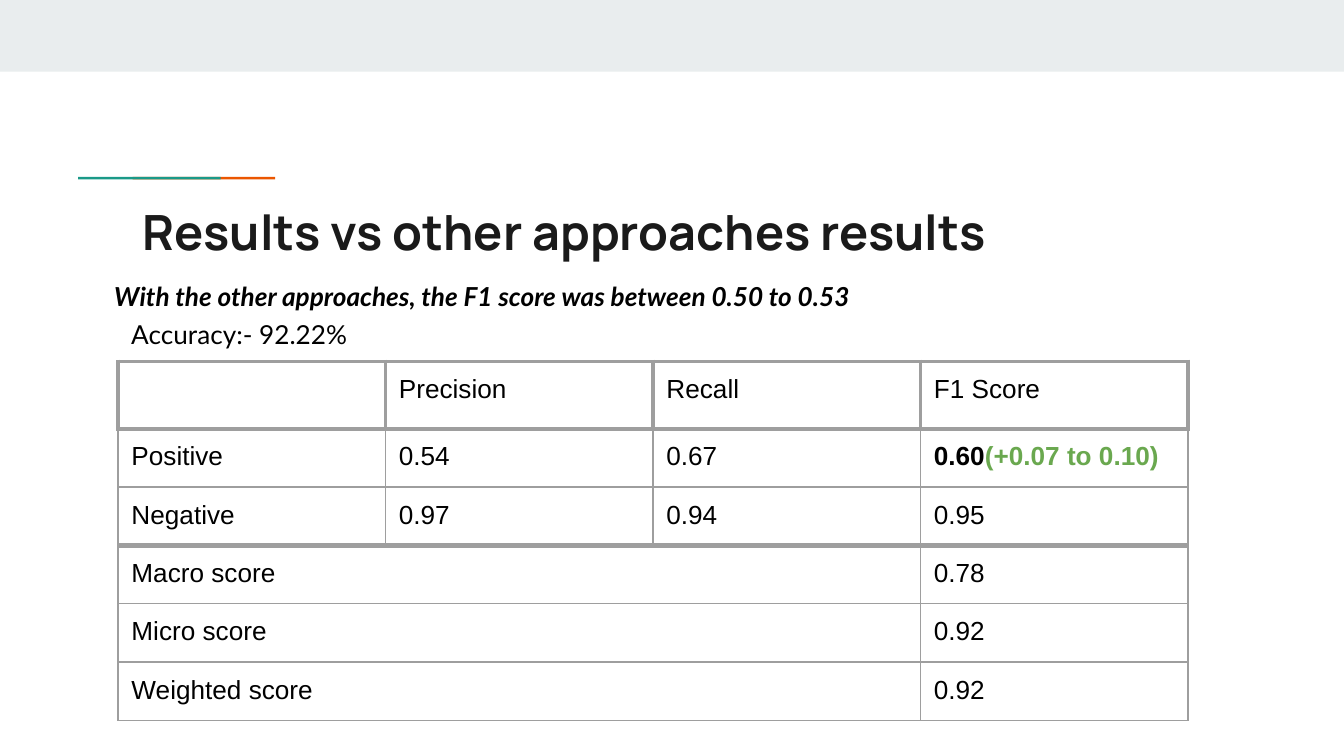
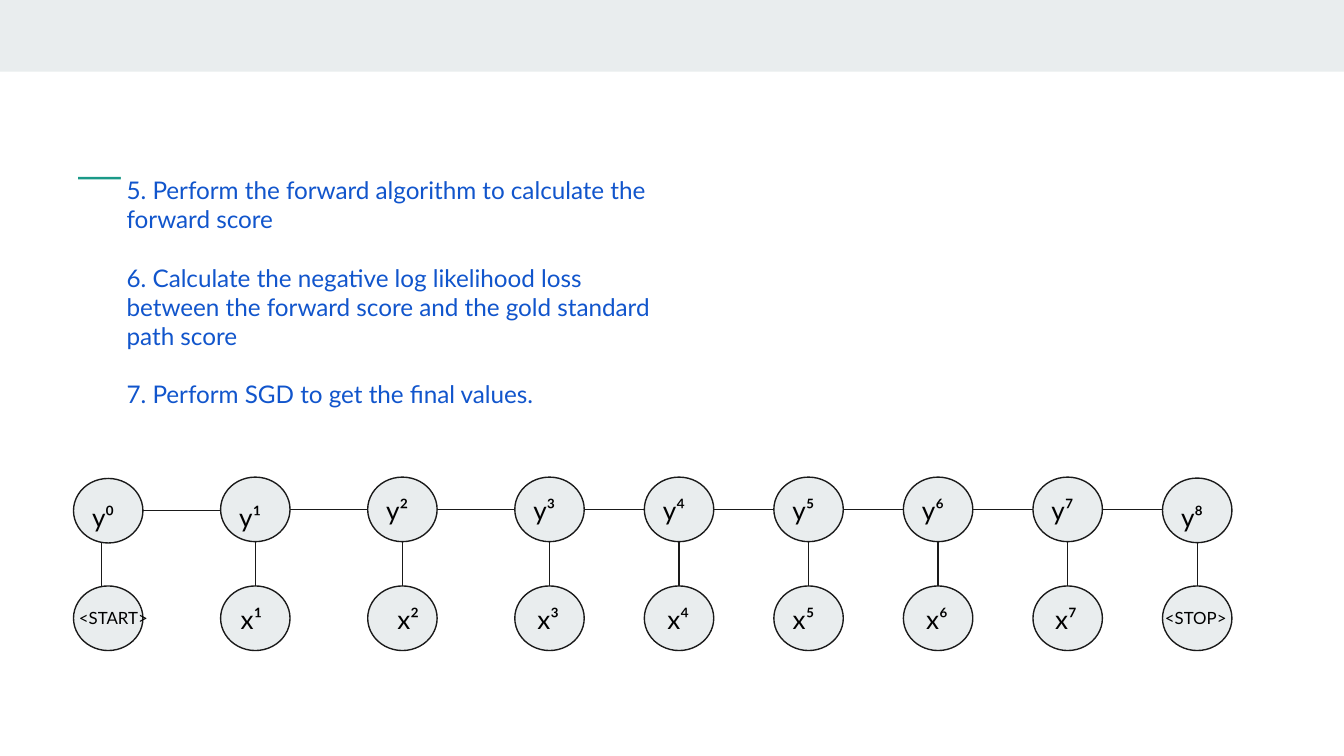
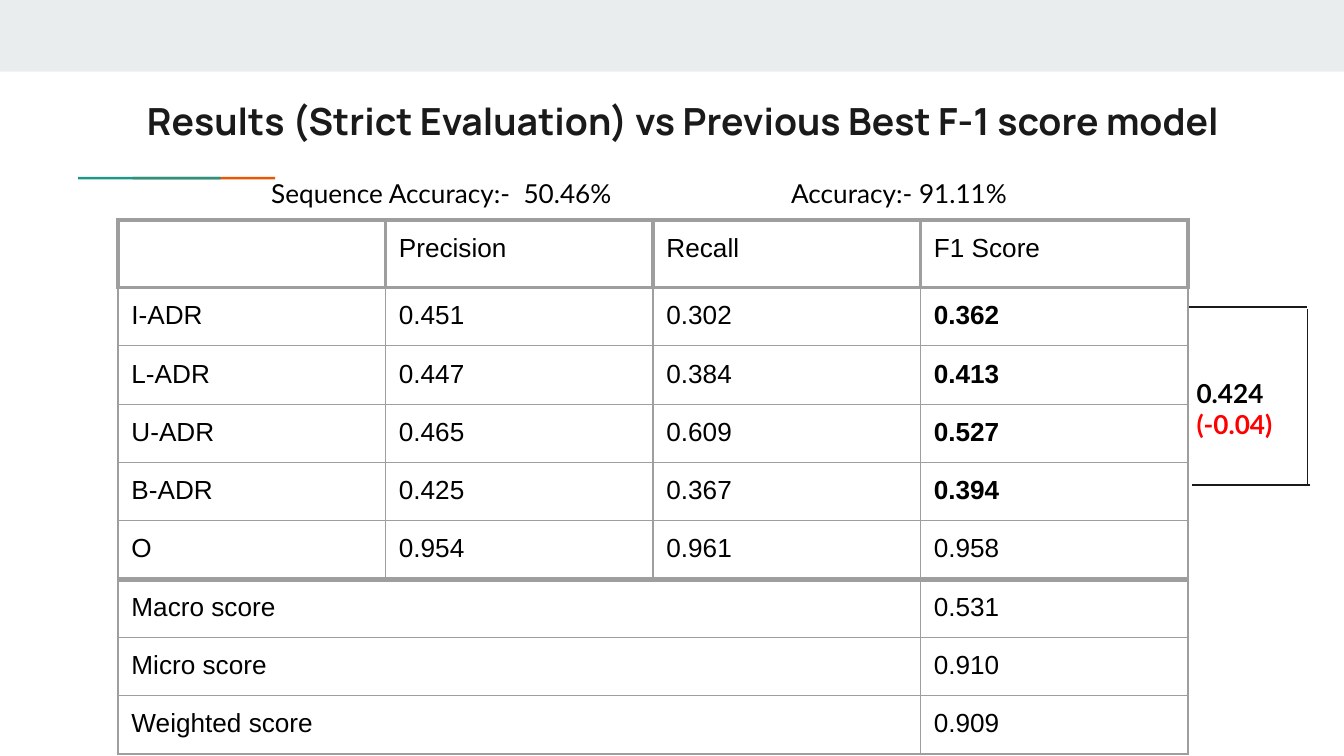
"""Build three slides on sequence labelling: two score tables and a chain of steps."""
from dataclasses import dataclass

from lxml.etree import SubElement
from pptx import Presentation
from pptx.dml.color import RGBColor
from pptx.enum.shapes import MSO_CONNECTOR, MSO_SHAPE
from pptx.enum.text import MSO_ANCHOR
from pptx.oxml.ns import qn
from pptx.slide import Slide
from pptx.table import _Cell
from pptx.text.text import TextFrame, _Paragraph
from pptx.util import Pt

WHITE = RGBColor(0xFF, 0xFF, 0xFF)
BLACK = RGBColor(0x00, 0x00, 0x00)
INK = RGBColor(0x1A, 0x1A, 0x1A)
MIST = RGBColor(0xE9, 0xED, 0xEE)
GREEN = RGBColor(0x1A, 0x99, 0x88)
ORANGE = RGBColor(0xEB, 0x56, 0x00)
GRID_GREY = RGBColor(0x9E, 0x9E, 0x9E)
GAIN = RGBColor(0x6A, 0xA8, 0x4F)
LOSS = RGBColor(0xFF, 0x00, 0x00)
BLUE = RGBColor(0x11, 0x55, 0xCC)

INSET = 7.2
THIN, HEADER_RULE, SUMMARY_RULE = 0.75, 2.25, 3
TABLE_LEFT, COLUMN_WIDTH, ROW_HEIGHT = 63.2, 143.3, 26.6
NODE_WIDTH, NODE_HEIGHT = 37.2, 34.6
HIDDEN_TOP, OBSERVED_TOP = 255.6, 313.9


@dataclass(frozen=True)
class Span:
    """One run of text and its look."""

    text: str
    size: float = 14
    color: RGBColor = BLACK
    bold: bool = False
    italic: bool = False
    font: str = "Lato"


@dataclass(frozen=True)
class Score:
    """One table row; without precision and recall it is a summary row."""

    label: str
    f1: str
    precision: str = ""
    recall: str = ""
    bold: bool = False
    change: str = ""


@dataclass(frozen=True)
class Step:
    """One column of the chain: hidden state above, observed token below."""

    hidden: str
    observed: str
    observed_shift: float
    hidden_drop: float = 2.2
    stem_shift: float = 0
    node_drop: float = 0


POLARITY_SCORES = [
    Score("Positive", "0.60", "0.54", "0.67", True, "(+0.07 to 0.10)"),
    Score("Negative", "0.95", "0.97", "0.94"),
    Score("Macro score", "0.78"),
    Score("Micro score", "0.92"),
    Score("Weighted score", "0.92"),
]
TAG_SCORES = [
    Score("I-ADR", "0.362", "0.451", "0.302", True),
    Score("L-ADR", "0.413", "0.447", "0.384", True),
    Score("U-ADR", "0.527", "0.465", "0.609", True),
    Score("B-ADR", "0.394", "0.425", "0.367", True),
    Score("O", "0.958", "0.954", "0.961"),
    Score("Macro score", "0.531"),
    Score("Micro score", "0.910"),
    Score("Weighted score", "0.909"),
]
CHAIN = [
    Step("y⁰", "<START>", -4.2, 5.8, -3.5, 0.7),
    Step("y¹", "x¹", 3.6, 5.8),
    Step("y²", "x²", 8.8),
    Step("y³", "x³", 5),
    Step("y⁴", "x⁴", 5.2),
    Step("y⁵", "x⁵", 3),
    Step("y⁶", "x⁶", 5),
    Step("y⁷", "x⁷", 4.7),
    Step("y⁸", "<STOP>", -5.8, 5.8, 0, 0.5),
]
INSTRUCTIONS = [
    "5. Perform the forward algorithm to calculate the forward score",
    "6. Calculate the negative log likelihood loss between the forward score "
    "and the gold standard path score",
    "7. Perform SGD to get the final values.",
]


def add_span(para: _Paragraph, span: Span) -> None:
    """Append one styled run to a paragraph."""
    run = para.add_run()
    run.text = span.text
    run.font.name = span.font
    run.font.size = Pt(span.size)
    run.font.bold = span.bold
    run.font.italic = span.italic
    run.font.color.rgb = span.color


def add_text(page: Slide, left: float, top: float, width: float, height: float,
             *lines: Span, gap: float = 0) -> TextFrame:
    """Add a text box with one paragraph for each span."""
    box = page.shapes.add_textbox(Pt(left), Pt(top), Pt(width), Pt(height))
    frame = box.text_frame
    frame.word_wrap = True
    frame.vertical_anchor = MSO_ANCHOR.TOP
    frame.margin_left = frame.margin_right = Pt(INSET)
    frame.margin_top = frame.margin_bottom = Pt(INSET)
    for index, span in enumerate(lines):
        para = frame.add_paragraph() if index else frame.paragraphs[0]
        if index:
            para.space_before = Pt(gap)
        add_span(para, span)
    return frame


def add_title(page: Slide, left: float, top: float, text: str, size: float) -> None:
    """Add the slide title."""
    add_text(page, left, top, 605.5, 42.5, Span(text, size, INK, True, font="Manrope"))


def add_block(page: Slide, kind: MSO_SHAPE, left: float, top: float, width: float,
              height: float, fill: RGBColor, outline: RGBColor | None = None) -> None:
    """Add a filled preset shape, outlined if a colour is given."""
    block = page.shapes.add_shape(kind, Pt(left), Pt(top), Pt(width), Pt(height))
    block.shadow.inherit = False
    block.fill.solid()
    block.fill.fore_color.rgb = fill
    if outline is None:
        block.line.fill.background()
    else:
        block.line.color.rgb = outline
        block.line.width = Pt(THIN)


def add_line(page: Slide, x1: float, y1: float, x2: float, y2: float) -> None:
    """Add a thin straight line."""
    line = page.shapes.add_connector(
        MSO_CONNECTOR.STRAIGHT, Pt(x1), Pt(y1), Pt(x2), Pt(y2))
    line.line.color.rgb = INK
    line.line.width = Pt(THIN)
    SubElement(line._element.spPr, qn("a:effectLst"))


def add_page(deck: Presentation, two_colors: bool = True) -> Slide:
    """Add a page with the top band and the overlapping accent bars."""
    page = deck.slides.add_slide(deck.slide_layouts[6])
    page.background.fill.solid()
    page.background.fill.fore_color.rgb = WHITE
    add_block(page, MSO_SHAPE.RECTANGLE, 0, 0, 720, 38.4, MIST)
    if two_colors:
        add_block(page, MSO_SHAPE.RECTANGLE, 71, 94.8, 76.4, 1.4, ORANGE)
    add_block(page, MSO_SHAPE.RECTANGLE, 41.8, 94.8, 76.4, 1.4, GREEN)
    return page


def set_borders(cell: _Cell, top: float, bottom: float, side: float) -> None:
    """Draw the four borders of a cell and clear its fill."""
    properties = cell._tc.get_or_add_tcPr()
    for tag, width in (("lnL", side), ("lnR", side), ("lnT", top), ("lnB", bottom)):
        border = SubElement(properties, qn(f"a:{tag}"), w=str(Pt(width)))
        fill = SubElement(border, qn("a:solidFill"))
        SubElement(fill, qn("a:srgbClr"), val=str(GRID_GREY))
    cell.fill.background()


def add_scores(page: Slide, top: float, scores: list[Score]) -> None:
    """Add a score table whose summary rows span the first three columns."""
    table = page.shapes.add_table(
        len(scores) + 1, 4, Pt(TABLE_LEFT), Pt(top),
        Pt(4 * COLUMN_WIDTH), Pt(ROW_HEIGHT * (len(scores) + 1))).table
    table.first_row = table.horz_banding = False
    for column in table.columns:
        column.width = Pt(COLUMN_WIDTH)
    rows = [("", "Precision", "Recall", "F1 Score")]
    rows += [(score.label, score.precision, score.recall, score.f1) for score in scores]
    summary_start = next(
        number for number, score in enumerate(scores, 1) if not score.precision)
    rules = {0: HEADER_RULE, 1: HEADER_RULE, summary_start: SUMMARY_RULE}
    for number, texts in enumerate(rows):
        table.rows[number].height = Pt(ROW_HEIGHT)
        side = THIN if number else HEADER_RULE
        for column, text in enumerate(texts):
            cell = table.cell(number, column)
            cell.margin_left = cell.margin_right = Pt(INSET)
            cell.margin_top = cell.margin_bottom = Pt(INSET)
            set_borders(cell, rules.get(number, THIN), rules.get(number + 1, THIN), side)
            para = cell.text_frame.paragraphs[0]
            if text:
                bold = number > 0 and column == 3 and scores[number - 1].bold
                add_span(para, Span(text, bold=bold, font="Arial"))
            else:
                ending = SubElement(para._p, qn("a:endParaRPr"),
                                    sz="1400" if number else "1800")
                SubElement(ending, qn("a:latin"), typeface="Arial")
        if number and scores[number - 1].change:
            add_span(table.cell(number, 3).text_frame.paragraphs[0],
                     Span(scores[number - 1].change, color=GAIN, bold=True, font="Arial"))
        if number >= summary_start:
            table.cell(number, 0).merge(table.cell(number, 2))


def node_left(index: int) -> float:
    """Return the left edge of a chain column; gaps narrow after the fourth."""
    return 39.4 + 78.8 * min(index, 3) + 69.4 * max(index - 3, 0)


def add_chain(page: Slide) -> None:
    """Draw the hidden states linked to each other and to their tokens."""
    for index, step in enumerate(CHAIN):
        left = node_left(index)
        for top in (HIDDEN_TOP + step.node_drop, OBSERVED_TOP):
            add_block(page, MSO_SHAPE.OVAL, left, top, NODE_WIDTH, NODE_HEIGHT, MIST, INK)
        stem = left + NODE_WIDTH / 2 + step.stem_shift
        add_line(page, stem, OBSERVED_TOP, stem, HIDDEN_TOP + NODE_HEIGHT)
        if index:
            middle = HIDDEN_TOP + NODE_HEIGHT / 2 + CHAIN[index - 1].node_drop
            add_line(page, node_left(index - 1) + NODE_WIDTH, middle, left, middle)
        add_text(page, left + 2.8, HIDDEN_TOP + step.hidden_drop, 32.4, 23.8,
                 Span(step.hidden))
        marker = step.observed.startswith("<")
        add_text(page, left + step.observed_shift, OBSERVED_TOP + (6.2 if marker else 2.2),
                 58.3 if marker else 32.4, 23.8, Span(step.observed, 9 if marker else 14))


def build_polarity_page(deck: Presentation) -> None:
    """Build the comparison with other approaches."""
    page = add_page(deck)
    add_title(page, 69.1, 100.8, "Results vs other approaches results", 26)
    add_scores(page, 193.7, POLARITY_SCORES)
    add_text(page, 63.2, 163.4, 546.5, 27.4, Span("Accuracy:- 92.22%"))
    add_text(page, 54.1, 142.9, 591, 27.4,
             Span("With the other approaches, the F1 score was between 0.50 to 0.53",
                  bold=True, italic=True))


def build_chain_page(deck: Presentation) -> None:
    """Build the training steps and the chain below them."""
    page = add_page(deck, two_colors=False)
    add_block(page, MSO_SHAPE.RECTANGLE, 64.8, 92.2, 73.4, 13.7, WHITE)
    add_chain(page)
    add_text(page, 60.8, 86.8, 309.6, 146.9,
             *(Span(text, 13, BLUE) for text in INSTRUCTIONS), gap=15.6)


def build_tag_page(deck: Presentation) -> None:
    """Build the strict evaluation with its bracketed mean."""
    page = add_page(deck)
    add_title(page, 71.6, 45.4,
              "Results (Strict Evaluation) vs Previous Best F-1 score model", 20)
    add_scores(page, 118, TAG_SCORES)
    frame = add_text(page, 138.2, 87.8, 546.5, 27.4,
                     Span("Sequence Accuracy:-\t50.46%\tAccuracy:- 91.11%"))
    tabs = SubElement(frame.paragraphs[0]._p.get_or_add_pPr(), qn("a:tabLst"))
    for position in (135.2, 278.5):
        SubElement(tabs, qn("a:tab"), pos=str(Pt(position)), algn="l")
    add_line(page, 637.2, 164.5, 700.4, 164.5)
    add_line(page, 700.4, 165.6, 700.4, 259.9)
    add_line(page, 702, 259.9, 638.6, 259.9)
    add_text(page, 633.9, 194.7, 72.7, 65.5, Span("0.424", bold=True),
             Span("(-0.04)", color=LOSS, bold=True))


def main() -> None:
    """Build and save the deck."""
    deck = Presentation()
    deck.slide_width, deck.slide_height = Pt(720), Pt(405)
    build_polarity_page(deck)
    build_chain_page(deck)
    build_tag_page(deck)
    deck.save("out.pptx")


if __name__ == "__main__":
    main()
